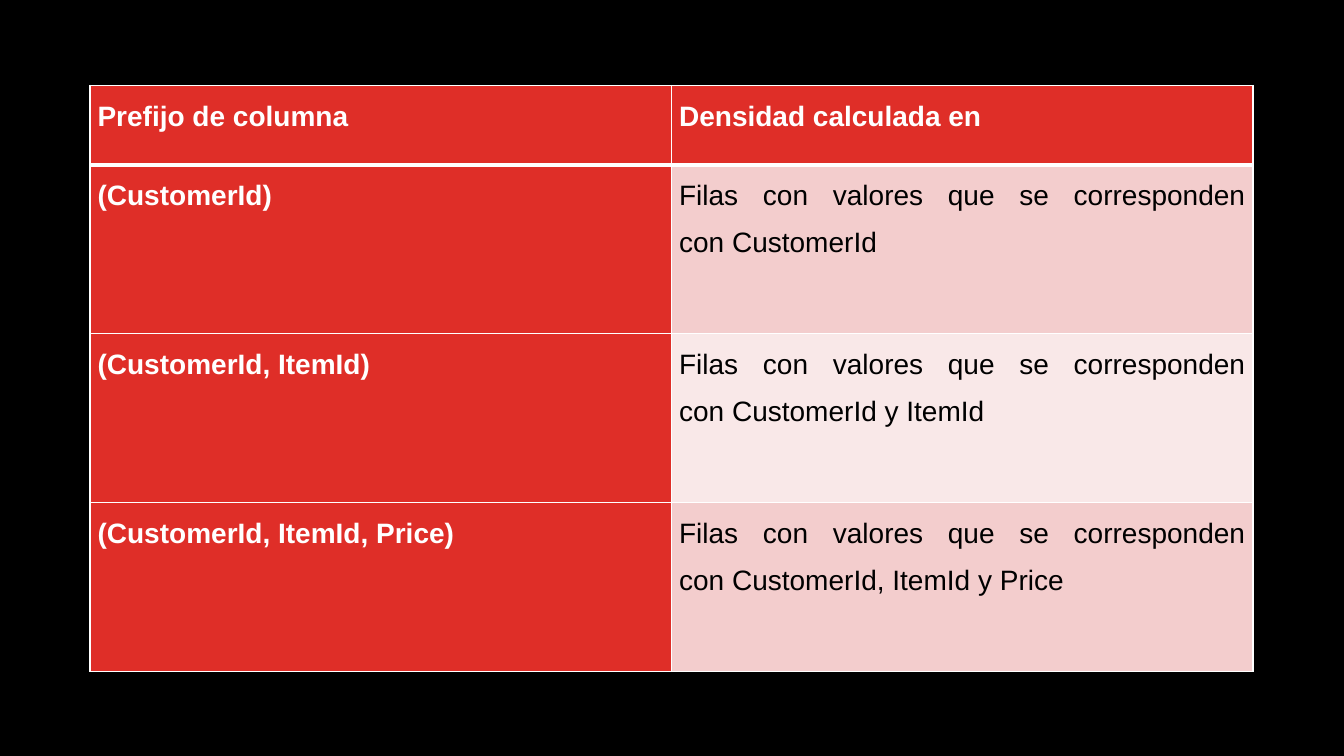
import pptx
import pptx.dml.color
import pptx.enum.text
import pptx.oxml
import pptx.oxml.ns
import pptx.util

Pt = pptx.util.Pt

COLORS = {
    "background": "000000",
    "accent": "DF2E28",
    "band_dark": "F3CDCD",
    "band_light": "F9E8E8",
    "light": "FFFFFF",
    "dark": "000000",
}

NBSP = chr(160)  # no-break space: keeps the column names on one line
MATCHING_ROWS = f"Filas con valores que se corresponden con{NBSP}"

DENSITIES = [
    ("Prefijo de columna", "Densidad calculada en"),
    ("(CustomerId)", f"{MATCHING_ROWS}CustomerId"),
    (f"(CustomerId,{NBSP}ItemId)", f"{MATCHING_ROWS}CustomerId{NBSP}y{NBSP}ItemId"),
    (f"(CustomerId,{NBSP}ItemId,{NBSP}Price)",
     f"{MATCHING_ROWS}CustomerId,{NBSP}ItemId{NBSP}y{NBSP}Price"),
]


def rgb(name):
    return pptx.dml.color.RGBColor.from_string(COLORS[name])


def write_text(frame, text, *, font="Arial", size=20, color="dark", bold=False):
    paragraph = frame.paragraphs[0]
    paragraph.alignment = pptx.enum.text.PP_ALIGN.JUSTIFY
    paragraph.line_spacing = 1.5
    paragraph.space_after = Pt(8)
    run = paragraph.add_run()
    run.text = text
    run.font.name = font
    run.font.size = Pt(size)
    run.font.bold = bold
    run.font.color.rgb = rgb(color)


class DensitySlide:
    """Holds the table style and the slide being built."""

    side_margin = 5.4
    thin, thick = 1, 3

    def __init__(self, presentation):
        blank_layout = presentation.slide_layouts[6]
        self.slide = presentation.slides.add_slide(blank_layout)
        background = self.slide.background.fill
        background.solid()
        background.fore_color.rgb = rgb("background")

    def borders(self, cell, top, bottom):
        """Draws the cell's edges; call before filling, as the schema orders lines first."""
        properties = cell._tc.get_or_add_tcPr()
        edges = {"L": self.thin, "R": self.thin, "T": top, "B": bottom}
        for side, width in edges.items():
            properties.append(pptx.oxml.parse_xml(
                f'<a:ln{side} {pptx.oxml.ns.nsdecls("a")} w="{Pt(width)}">'
                f'<a:solidFill><a:srgbClr val="{COLORS["light"]}"/></a:solidFill>'
                f'</a:ln{side}>'))

    def cell(self, cell, text, row, column):
        heading = row == 0 or column == 0
        cell.margin_left = cell.margin_right = Pt(self.side_margin)
        cell.margin_top = cell.margin_bottom = 0
        self.borders(cell,
                     top=self.thick if row == 1 else self.thin,
                     bottom=self.thick if row == 0 else self.thin)
        band = "band_dark" if row % 2 else "band_light"
        cell.fill.solid()
        cell.fill.fore_color.rgb = rgb("accent" if heading else band)
        write_text(cell.text_frame, text, bold=heading,
                   color="light" if heading else "dark")

    def table(self, contents, left, top, column_width, header_height, row_height):
        columns = len(contents[0])
        height = header_height + row_height * (len(contents) - 1)
        table = self.slide.shapes.add_table(
            len(contents), columns, Pt(left), Pt(top),
            Pt(column_width * columns), Pt(height)).table
        table.horz_banding = False
        for column in table.columns:
            column.width = Pt(column_width)
        for row, texts in enumerate(contents):
            table.rows[row].height = Pt(row_height if row else header_height)
            for column, text in enumerate(texts):
                self.cell(table.cell(row, column), text, row, column)


def main():
    presentation = pptx.Presentation()
    presentation.slide_width = Pt(960)
    presentation.slide_height = Pt(540)
    DensitySlide(presentation).table(
        DENSITIES, left=64.3, top=61, column_width=415.4,
        header_height=56.8, row_height=120.7)
    presentation.save("out.pptx")


if __name__ == "__main__":
    main()
